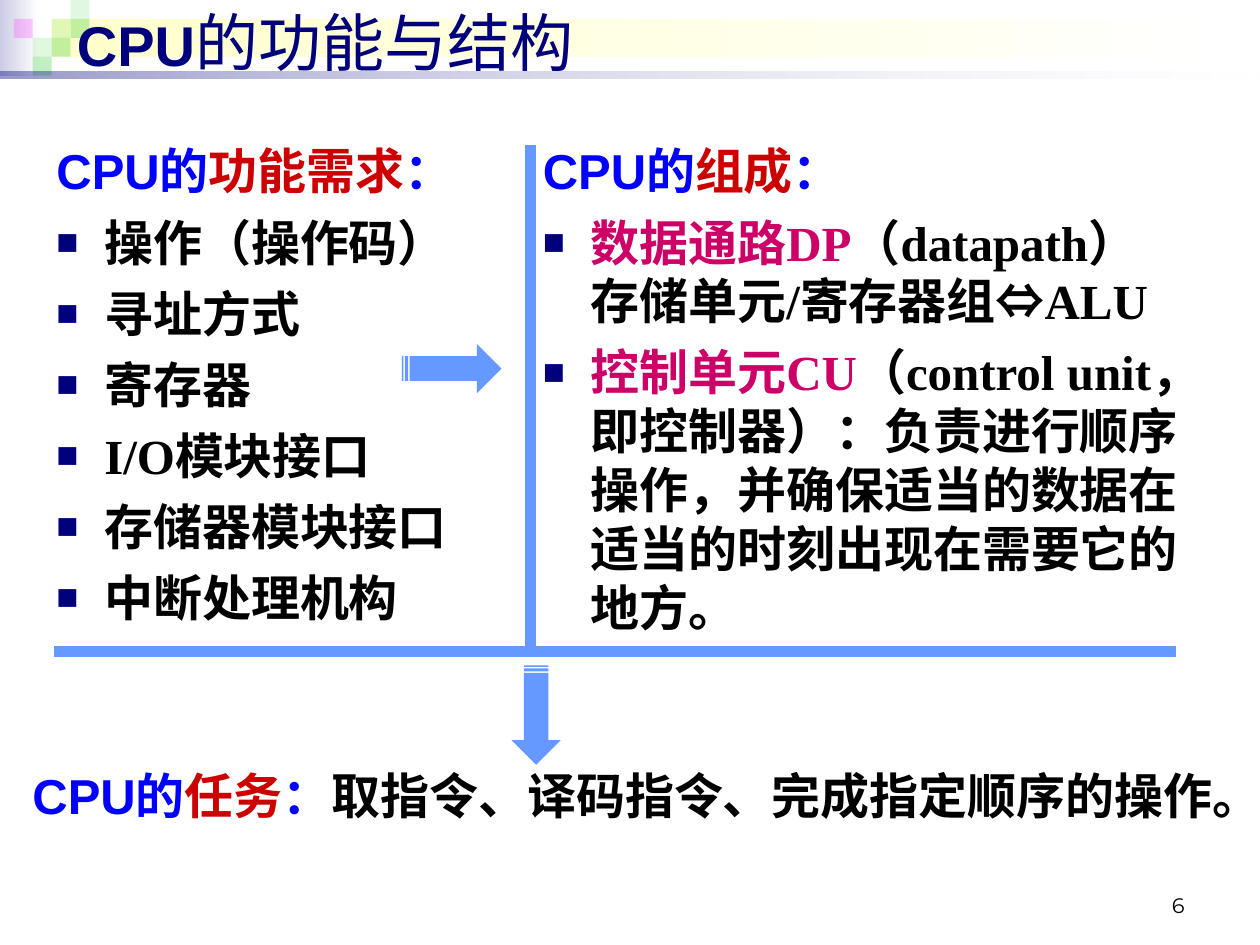
import pptx
import pptx.util
import pptx.dml.color
import pptx.enum.shapes
import pptx.enum.text
import pptx.oxml
import pptx.oxml.ns
from lxml import etree

Inches, Pt = pptx.util.Inches, pptx.util.Pt
SHAPE = pptx.enum.shapes.MSO_SHAPE
ALIGN = pptx.enum.text.PP_ALIGN
ANCHOR = pptx.enum.text.MSO_ANCHOR
qn = pptx.oxml.ns.qn

COLORS = {"navy": "00007D", "blue": "0000FF", "red": "CC0000", "pink": "CC0066",
          "black": "000000", "sky": "6699FF", "green": "33CC33", "magenta": "FF00FF",
          "white": "FFFFFF", "lavender": "CCCCE6", "cream": "FFFFCC"}

HEAD = {"size": Pt(28), "name": "Arial", "bold": True, "color": "blue"}
KEY = {**HEAD, "color": "red"}
BODY = {**HEAD, "name": "Times New Roman", "color": "black"}
TERM = {**BODY, "color": "pink"}
SYMBOL = {**BODY, "name": "Arial"}
TITLE = {**HEAD, "size": Pt(32), "color": "navy"}
TITLE_CJK = {**TITLE, "size": Pt(36), "bold": False}
NUMBER = {"size": Pt(12), "name": "Montserrat", "bold": False, "color": "black"}


def rgb(name):
    return pptx.dml.color.RGBColor.from_string(COLORS[name])


def set_alpha(clr, percent):
    etree.SubElement(clr, qn("a:alpha")).set("val", str(percent * 1000))


def add_runs(p, runs):
    for text, fmt in runs:
        if text == "\n":
            p.add_line_break()
            continue
        r = p.add_run()
        r.text = text
        for key, value in fmt.items():
            if key == "color":
                r.font.color.rgb = rgb(value)
            else:
                setattr(r.font, key, value)


def add_bullet(p):
    pPr = p._p.get_or_add_pPr()
    pPr.set("marL", str(Inches(0.38)))
    pPr.set("indent", str(-Inches(0.38)))
    clr = etree.SubElement(pPr, qn("a:buClr"))
    etree.SubElement(clr, qn("a:srgbClr")).set("val", COLORS["navy"])
    for tag, key, value in (("a:buSzPct", "val", "75000"),
                            ("a:buFont", "typeface", "Arial"),
                            ("a:buChar", "char", "■")):
        etree.SubElement(pPr, qn(tag)).set(key, value)


def add_text(s, box, heading, items=(), align=ALIGN.LEFT, anchor=ANCHOR.TOP):
    """A heading paragraph, followed by bulleted paragraphs."""
    tf = s.shapes.add_textbox(*map(Inches, box)).text_frame
    tf.word_wrap = True
    tf.vertical_anchor = anchor
    tf.paragraphs[0].alignment = align
    add_runs(tf.paragraphs[0], heading)
    for runs in items:
        p = tf.add_paragraph()
        add_bullet(p)
        p.space_before = Pt(7)
        add_runs(p, runs)


def add_block(s, box, shape=SHAPE.RECTANGLE, color=None, alpha=None, fade=None):
    """A plain block, or one fading from right to left through (color, alpha) stops."""
    sp = s.shapes.add_shape(shape, *map(Inches, box))
    sp.shadow.inherit = False
    sp.line.fill.background()
    if fade:
        sp.fill.gradient()
        sp.fill.gradient_angle = 180
        for stop, (name, opacity) in zip(sp.fill.gradient_stops, fade):
            stop.color.rgb = rgb(name)
            if opacity < 100:
                set_alpha(stop._gs.find(qn("a:srgbClr")), opacity)
    else:
        sp.fill.solid()
        sp.fill.fore_color.rgb = rgb(color)
        if alpha:
            set_alpha(sp._element.spPr.find(".//" + qn("a:srgbClr")), alpha)
    return sp


def add_banner(s, left, top, width):
    add_block(s, (left, top, 0.31, 0.6), fade=[("white", 100), ("lavender", 100)])
    add_block(s, (left + 0.41, top + 0.15, width - 0.45, 0.3),
              fade=[("white", 100), ("cream", 100)])
    # Mosaic squares: column, row, colour, opacity
    side = 0.15
    for col, row, color, alpha in ((2, 1, "green", 15), (3, 0, "green", 15),
                                   (3, 1, "green", 30), (1, 2, "green", 15),
                                   (0, 1, "magenta", 20), (2, 2, "green", 30),
                                   (1, 3, "green", 30)):
        add_block(s, (left + 0.11 + col * side, top + row * side, side, side),
                  color=color, alpha=alpha)
    add_block(s, (left, top + 0.57, width, 0.05), fade=[("white", 10), ("navy", 40)])


def add_title(s, box):
    sp = s.shapes.title
    sp.left, sp.top, sp.width, sp.height = map(Inches, box)
    tf = sp.text_frame
    tf.auto_size = pptx.enum.text.MSO_AUTO_SIZE.NONE
    tf.vertical_anchor = ANCHOR.MIDDLE
    tf.paragraphs[0].alignment = ALIGN.LEFT
    add_runs(tf.paragraphs[0], [("CPU", TITLE), ("的功能与结构", TITLE_CJK)])
    # Keep the title in front of the banner
    s.shapes._spTree.append(sp._element)


def heading(topic):
    return [("CPU的", HEAD), (topic, KEY), ("：", HEAD)]


def add_needs(s, box):
    needs = ("操作（操作码）", "寻址方式", "寄存器", "I/O模块接口", "存储器模块接口",
             "中断处理机构")
    add_text(s, box, heading("功能需求"), [[(need, BODY)] for need in needs])


def add_parts(s, box):
    add_text(s, box, heading("组成"), [
        [("数据通路DP", TERM), ("（datapath）", BODY), ("\n", BODY),
         ("存储单元/寄存器组", BODY), ("⇔", SYMBOL), ("ALU", BODY)],
        [("控制单元CU", TERM),
         ("（control unit，即控制器）：负责进行顺序操作，并确保适当的数据在适当的时刻出现在需要它的地方。", BODY)],
    ])


def add_task(s, box):
    add_text(s, box, heading("任务") + [("取指令、译码指令、完成指定顺序的操作。", BODY)])


def add_divider(s, x1, y1, x2, y2):
    line = s.shapes.add_connector(pptx.enum.shapes.MSO_CONNECTOR.STRAIGHT,
                                  *map(Inches, (x1, y1, x2, y2)))
    line.line.color.rgb = rgb("sky")
    line.line.width = Pt(6)
    etree.SubElement(line._element.spPr, qn("a:effectLst"))


def add_flow_arrow(s, left, top, rotation=0):
    sp = add_block(s, (left, top, 0.79, 0.39), SHAPE.STRIPED_RIGHT_ARROW, "sky")
    sp.rotation = rotation


def main():
    prs = pptx.Presentation()
    prs.slide_width, prs.slide_height = Inches(10), Inches(7.5)
    s = prs.slides.add_slide(prs.slide_layouts[5])

    # Header
    add_banner(s, 0, 0, 10)
    add_title(s, (0.51, -0.03, 9.37, 0.71))

    # Two columns and the conclusion
    add_needs(s, (0.35, 1.07, 3.7, 4.17))
    add_parts(s, (4.21, 1.07, 5.59, 4.1))
    add_task(s, (0.16, 6.03, 9.73, 0.63))

    # Dividers and flow arrows
    add_flow_arrow(s, 3.19, 2.73)
    add_divider(s, 0.43, 5.17, 9.33, 5.17)
    add_flow_arrow(s, 3.86, 5.48, rotation=90)
    add_divider(s, 4.21, 1.15, 4.21, 5.17)

    # Page number
    add_text(s, (7.17, 6.83, 2.33, 0.5), [("6", NUMBER)],
             align=ALIGN.RIGHT, anchor=ANCHOR.BOTTOM)
    prs.save("out.pptx")


if __name__ == "__main__":
    main()
